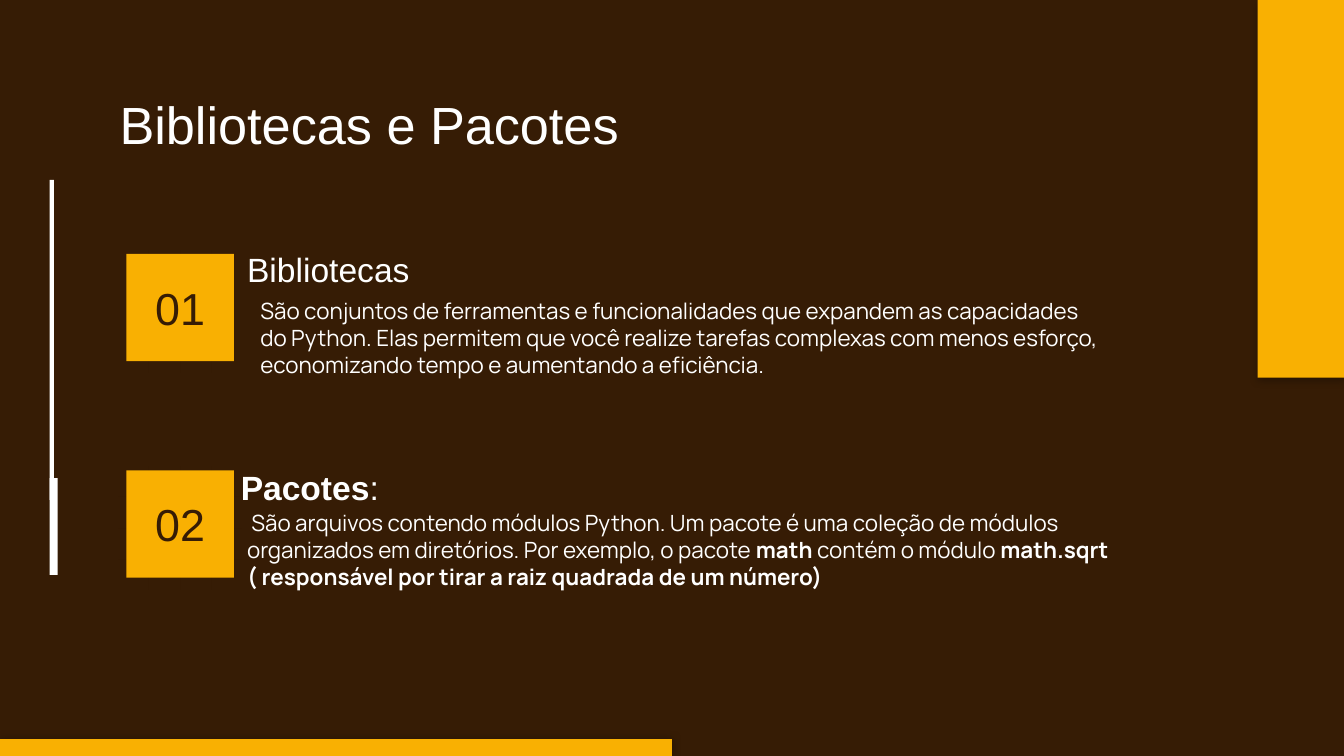
from dataclasses import dataclass

import lxml.etree
import pptx
import pptx.dml.color
import pptx.enum.shapes
import pptx.enum.text
import pptx.oxml.ns
import pptx.util
from pptx.util import Cm

COLORS = {"brown": "361C05", "amber": "F9B002", "white": "FFFFFF", "black": "000000"}
INSET = 0.25
TILE_LEFT = 2.39
TILE_SIZE = 2.03


@dataclass
class Shadow:
    color: str
    distance: float
    angle: int


@dataclass
class Bar:
    box: tuple[float, float, float, float]
    color: str
    shadow: Shadow | None = None


@dataclass
class TextStyle:
    font: str
    size: int
    color: str = "white"
    anchor: pptx.enum.text.MSO_ANCHOR = pptx.enum.text.MSO_ANCHOR.TOP
    align: pptx.enum.text.PP_ALIGN = pptx.enum.text.PP_ALIGN.LEFT
    line_spacing: float | None = None


@dataclass
class TextArea:
    box: tuple[float, float, float, float]
    runs: list[tuple[str, bool]]
    left_inset: float = INSET
    right_inset: float = INSET
    first_indent: float = 0


@dataclass
class Topic:
    number: str
    tile_top: float
    heading: TextArea
    description: TextArea


TITLE = TextStyle("Arial", 28)
HEADING = TextStyle("Arial", 18, anchor=pptx.enum.text.MSO_ANCHOR.BOTTOM)
DESCRIPTION = TextStyle("Manrope", 12, line_spacing=14.5)
NUMBER = TextStyle("Arial", 24, "brown", pptx.enum.text.MSO_ANCHOR.MIDDLE,
                   pptx.enum.text.PP_ALIGN.CENTER)

BARS = [
    Bar((0, 13.97, 12.7, 0.32), "amber", Shadow("black", 0, 0)),
    Bar((23.77, 0, 1.63, 7.14), "amber", Shadow("black", 1.5, 90)),
    Bar((0.94, 9.04, 0.15, 1.83), "white"),
    Bar((0.94, 3.4, 0.08, 6.05), "white"),
]

TOPICS = [
    Topic(
        "01", 4.8,
        TextArea((4.42, 4.57, 7.57, 1.14), [("Bibliotecas", False)]),
        TextArea((3.4, 5.36, 17.83, 2.39), [
            ("São conjuntos de ferramentas e funcionalidades que expandem as capacidades "
             "do Python. Elas permitem que você realize tarefas complexas com menos esforço, "
             "economizando tempo e aumentando a eficiência.", False),
        ], left_inset=1.52, right_inset=0.38),
    ),
    Topic(
        "02", 8.89,
        TextArea((3.86, 8.69, 4.32, 1.14), [("Pacotes", True), (":", False)], left_inset=0.69),
        TextArea((3.15, 9.37, 18.08, 1.6), [
            ("São arquivos contendo módulos Python. Um pacote é uma coleção de módulos "
             "organizados em diretórios. Por exemplo, o pacote ", False),
            ("math", True),
            (" contém o módulo ", False),
            ("math.sqrt ( responsável por tirar a raiz quadrada de um número)", True),
        ], left_inset=1.52, right_inset=0.2, first_indent=0.08),
    ),
]


def rgb(name: str) -> pptx.dml.color.RGBColor:
    return pptx.dml.color.RGBColor.from_string(COLORS[name])


def place(shape, box: tuple[float, float, float, float]) -> None:
    shape.left, shape.top, shape.width, shape.height = (Cm(value) for value in box)


def add_shadow(shape, shadow: Shadow) -> None:
    qualified = pptx.oxml.ns.qn
    effects = shape._element.spPr.find(qualified("a:effectLst"))
    outer = lxml.etree.SubElement(effects, qualified("a:outerShdw"), {
        "blurRad": str(pptx.util.Pt(4.5)),
        "dist": str(pptx.util.Pt(shadow.distance)),
        "dir": str(shadow.angle * 60000),
        "algn": "bl",
        "rotWithShape": "0",
    })
    color = lxml.etree.SubElement(outer, qualified("a:srgbClr"), val=COLORS[shadow.color])
    lxml.etree.SubElement(color, qualified("a:alpha"), val="30000")


def draw_bar(slide, bar: Bar):
    shape = slide.shapes.add_shape(
        pptx.enum.shapes.MSO_SHAPE.RECTANGLE, *(Cm(value) for value in bar.box))
    shape.shadow.inherit = False
    shape.fill.solid()
    shape.fill.fore_color.rgb = rgb(bar.color)
    shape.line.fill.background()
    if bar.shadow:
        add_shadow(shape, bar.shadow)
    return shape


def write_text(shape, area: TextArea, style: TextStyle) -> None:
    place(shape, area.box)
    frame = shape.text_frame
    frame.word_wrap = True
    frame.auto_size = pptx.enum.text.MSO_AUTO_SIZE.NONE
    frame.vertical_anchor = style.anchor
    frame.margin_top = frame.margin_bottom = Cm(INSET)
    frame.margin_left = Cm(area.left_inset)
    frame.margin_right = Cm(area.right_inset)

    paragraph = frame.paragraphs[0]
    paragraph.alignment = style.align
    paragraph.space_before = pptx.util.Pt(0)
    if style.line_spacing:
        paragraph.line_spacing = pptx.util.Pt(style.line_spacing)
    properties = paragraph._p.get_or_add_pPr()
    properties.set("marL", "0")
    properties.set("indent", str(Cm(area.first_indent)))
    lxml.etree.SubElement(properties, pptx.oxml.ns.qn("a:buNone"))

    for text, bold in area.runs:
        run = paragraph.add_run()
        run.text = text
        run.font.name = style.font
        run.font.size = pptx.util.Pt(style.size)
        run.font.bold = bold
        run.font.color.rgb = rgb(style.color)


def draw_topic(slide, topic: Topic, heading, description) -> None:
    write_text(heading, topic.heading, HEADING)
    write_text(description, topic.description, DESCRIPTION)
    box = (TILE_LEFT, topic.tile_top, TILE_SIZE, TILE_SIZE)
    tile = draw_bar(slide, Bar(box, "amber", Shadow("brown", 2.2, 90)))
    write_text(tile, TextArea(box, [(topic.number, False)]), NUMBER)


def main() -> None:
    presentation = pptx.Presentation()
    presentation.slide_width = Cm(25.4)
    presentation.slide_height = Cm(14.29)
    comparison_layout = presentation.slide_layouts[4]
    slide = presentation.slides.add_slide(comparison_layout)
    slide.background.fill.solid()
    slide.background.fill.fore_color.rgb = rgb("brown")

    for bar in BARS:
        draw_bar(slide, bar)
    title, *bodies = slide.placeholders
    write_text(title, TextArea((2.01, 1.5, 21.39, 1.6), [("Bibliotecas e Pacotes", False)]), TITLE)
    for topic, heading, description in zip(TOPICS, bodies[::2], bodies[1::2]):
        draw_topic(slide, topic, heading, description)

    presentation.save("out.pptx")


if __name__ == "__main__":
    main()
